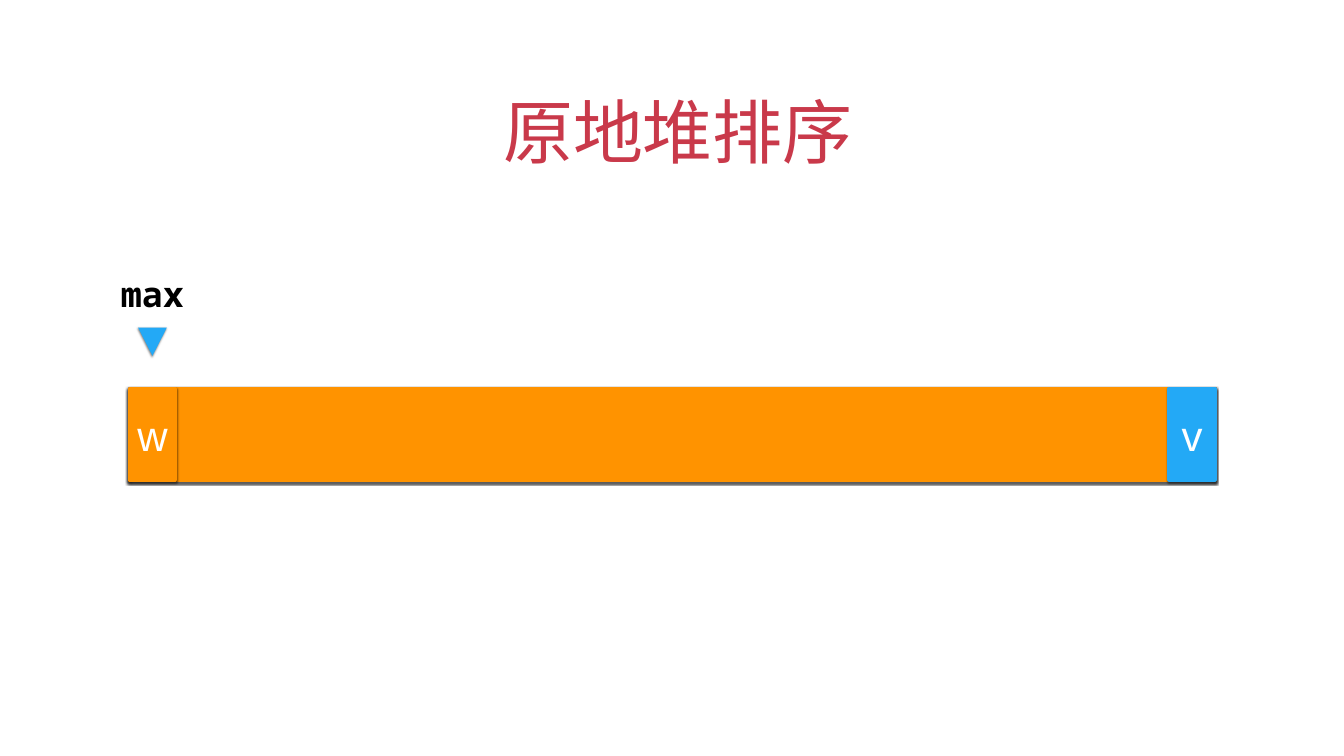
from dataclasses import dataclass

from lxml.etree import SubElement
from pptx import Presentation
from pptx.dml.color import RGBColor
from pptx.enum.shapes import MSO_SHAPE
from pptx.enum.text import MSO_ANCHOR, PP_ALIGN
from pptx.oxml.ns import qn
from pptx.util import Inches, Pt

# Content
TITLE = "原地堆排序"
POINTER = "max"
FIRST, LAST = "w", "v"


@dataclass(frozen=True)
class Theme:
    red: str = "C9394A"
    orange: str = "FF9300"
    blue: str = "23A9F6"
    dark: str = "212121"
    white: str = "FFFFFF"
    black: str = "000000"
    font: str = "Arial"
    mono: str = "Noto Sans Mono"
    title: int = 100
    cell: int = 60
    label: int = 50
    line: int = 5


T = Theme()

# Geometry in inches: the array bar, its end cells, and the pointer above
SLIDE_W, SLIDE_H = 26.67, 15
BAR_X, BAR_Y, BAR_W, BAR_H = 2.57, 7.71, 21.54, 1.81
CELL_W = 0.91
ARROW_Y, ARROW_W, ARROW_H = 6.5, 0.57, 0.56
LABEL_W, LABEL_H = 2.27, 0.92
LABEL_Y = 5.37
INSET = 0.06


def box(x, y, w, h):
    return [Inches(v) for v in (x, y, w, h)]


def write(s, text, size, color, font=T.font, anchor=MSO_ANCHOR.MIDDLE, bold=False):
    tf = s.text_frame
    tf.text = text
    tf.word_wrap = True
    tf.vertical_anchor = anchor
    tf.margin_left = tf.margin_right = tf.margin_top = tf.margin_bottom = Inches(INSET)
    p = tf.paragraphs[0]
    p.alignment = PP_ALIGN.CENTER
    f = p.runs[0].font
    f.name, f.size, f.bold = font, Pt(size), bold
    f.color.rgb = RGBColor.from_string(color)
    return p


def paint(s, fill=None, line=None):
    """Set fill and line, then add the soft shadow that every part shares."""
    if fill:
        s.fill.solid()
        s.fill.fore_color.rgb = RGBColor.from_string(fill)
    else:
        s.fill.background()
    if line:
        s.line.color.rgb = RGBColor.from_string(line)
        s.line.width = Pt(T.line)
    else:
        s.line.fill.background()
    s.shadow.inherit = False
    effects = s._element.spPr.find(qn("a:effectLst"))
    shadow = SubElement(effects, qn("a:outerShdw"), blurRad=str(Pt(3)),
                        dist=str(Pt(2)), dir="5400000", rotWithShape="0")
    color = SubElement(shadow, qn("a:srgbClr"), val=T.black)
    SubElement(color, qn("a:alpha"), val="50000")


def add_block(shapes, x, w, fill, line, text=None):
    s = shapes.add_shape(MSO_SHAPE.RECTANGLE, *box(x, BAR_Y, w, BAR_H))
    paint(s, fill, line)
    if text:
        write(s, text, T.cell, T.white)


def add_pointer(shapes, center):
    group = shapes.add_group_shape()
    left = center - ARROW_W / 2
    outline = group.shapes.build_freeform(
        Inches(center), Inches(ARROW_Y + ARROW_H))
    outline.add_line_segments([(Inches(left + ARROW_W), Inches(ARROW_Y)),
                               (Inches(left), Inches(ARROW_Y))], close=True)
    paint(outline.convert_to_shape(), T.blue)
    label = group.shapes.add_textbox(
        *box(center - LABEL_W / 2, LABEL_Y, LABEL_W, LABEL_H))
    write(label, POINTER, T.label, T.black, T.mono, bold=True)


def main():
    prs = Presentation()
    prs.slide_width, prs.slide_height = Inches(SLIDE_W), Inches(SLIDE_H)
    shapes = prs.slides.add_slide(prs.slide_layouts[6]).shapes

    # Title
    title = shapes.add_textbox(*box(1.94, 1.27, 22.78, 2.22))
    p = write(title, TITLE, T.title, T.red, anchor=MSO_ANCHOR.BOTTOM)
    p._p.get_or_add_pPr().set("indent", str(Inches(0.25)))

    # Array: outline, heap, then the last cell
    add_block(shapes, BAR_X, BAR_W, None, T.dark)
    add_block(shapes, BAR_X, BAR_W, T.orange, T.orange)
    add_block(shapes, BAR_X + BAR_W - CELL_W, CELL_W, T.blue, T.blue, LAST)

    # Pointer over the first cell
    add_pointer(shapes, BAR_X + CELL_W / 2)
    add_block(shapes, BAR_X, CELL_W, T.orange, T.orange, FIRST)

    prs.save("out.pptx")


if __name__ == "__main__":
    main()
